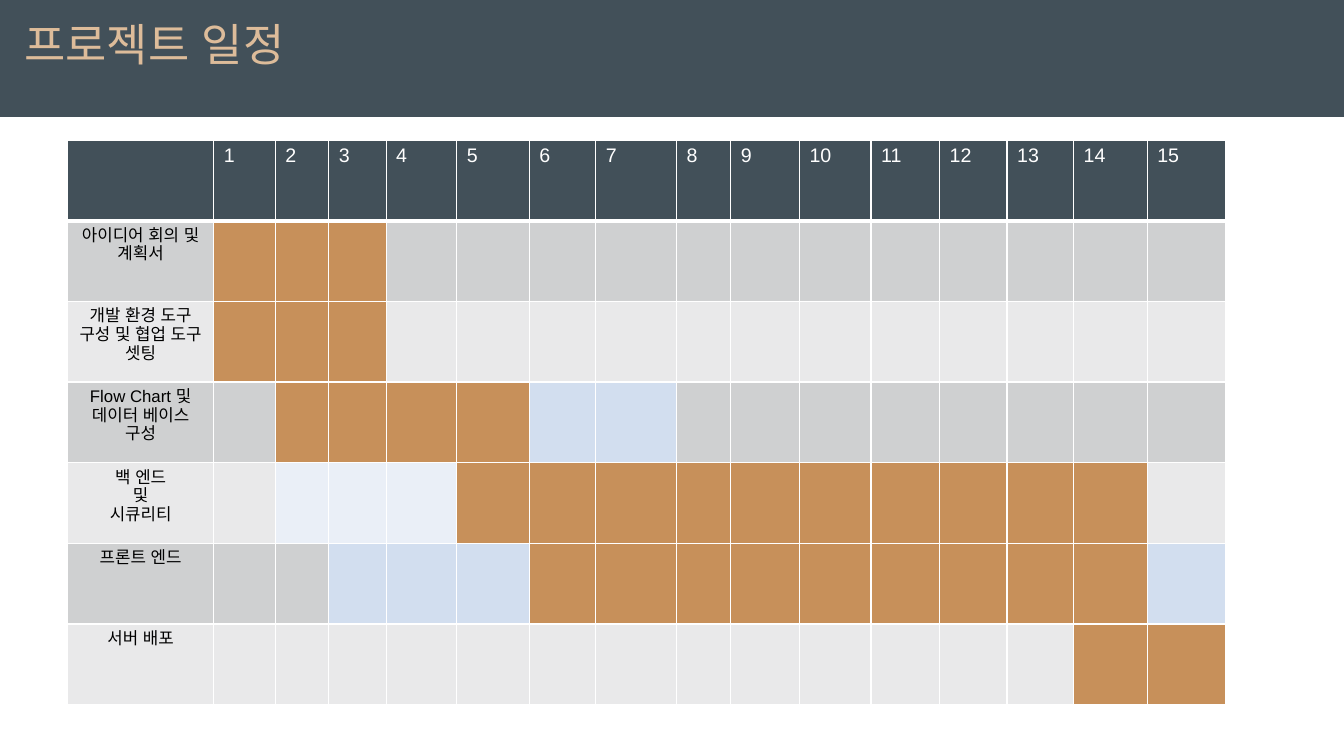
from dataclasses import dataclass

from lxml.etree import SubElement
from pptx import Presentation
from pptx.dml.color import RGBColor
from pptx.enum.shapes import MSO_SHAPE
from pptx.enum.text import MSO_ANCHOR, MSO_AUTO_SIZE, PP_ALIGN
from pptx.oxml.ns import qn
from pptx.util import Emu, Pt

EMU_PER_PX = 9144  # 100 px to the inch
WEEK_WIDTHS = [61, 53, 57, 70, 72, 66, 80, 54, 68, 71, 68, 67, 66, 73, 78]
LABEL_WIDTH = 145
ROW_HEIGHT = 80


@dataclass(frozen=True)
class Theme:
    font: str = "Arial"
    slate: str = "425059"
    sand: str = "DDBC9A"
    work: str = "C7905A"
    white: str = "FFFFFF"
    black: str = "000000"
    bands: tuple = ("CFD0D1", "E9E9EA")
    tints: tuple = ("D2DEEF", "EAEFF7")
    title_size: int = 32
    week_size: int = 14
    task_size: int = 12
    rule: int = 1
    header_rule: int = 3


@dataclass(frozen=True)
class Task:
    label: str
    first: int
    last: int
    tinted: tuple = ()


TASKS = [
    Task("아이디어 회의 및 계획서", 1, 3),
    Task("개발 환경 도구 구성 및 협업 도구 셋팅", 1, 3),
    Task("Flow Chart 및\n데이터 베이스 구성", 2, 5, (6, 7)),
    Task("백 엔드\n및\n시큐리티", 5, 14, (2, 3, 4)),
    Task("프론트 엔드", 6, 14, (3, 4, 5, 15)),
    Task("서버 배포", 14, 15),
]


def px(length):
    return Emu(length * EMU_PER_PX)


def assign(target, values):
    for name, value in values.items():
        setattr(target, name, value)


class ScheduleSlide:
    def __init__(self, deck, theme):
        self.theme = theme
        self.page = deck.slides.add_slide(deck.slide_layouts[5])

    def set_text(self, frame, text, size, color, align=PP_ALIGN.LEFT):
        """Fill a text frame, one paragraph for each line of text."""
        frame.text = text
        for para in frame.paragraphs:
            para.alignment = align
            for span in para.runs:
                assign(span.font, {"size": Pt(size), "bold": False, "name": self.theme.font})
                span.font.color.rgb = RGBColor.from_string(color)
                properties = span.font._element
                SubElement(properties, qn("a:ea"), typeface=self.theme.font)

    def banner(self, width, height):
        box = self.page.shapes.add_shape(MSO_SHAPE.RECTANGLE, 0, 0, px(width), px(height))
        box.shadow.inherit = False
        box.fill.solid()
        box.fill.fore_color.rgb = RGBColor.from_string(self.theme.slate)
        box.line.fill.background()

    def title(self, text, left, top, width, height):
        """Format the title placeholder and bring it in front of the banner."""
        box = self.page.shapes.title
        assign(box, {"left": px(left), "top": px(top), "width": px(width), "height": px(height)})
        assign(box.text_frame, {
            "word_wrap": True, "auto_size": MSO_AUTO_SIZE.SHAPE_TO_FIT_TEXT,
            "vertical_anchor": MSO_ANCHOR.TOP,
            "margin_left": px(10), "margin_right": px(10),
            "margin_top": px(5), "margin_bottom": px(5),
        })
        self.set_text(box.text_frame, text, self.theme.title_size, self.theme.sand)
        self.page.shapes._spTree.append(box._element)

    def paint(self, cell, color, bottom_rule):
        """Give a cell its white borders and its fill."""
        properties = cell._tc.get_or_add_tcPr()
        rule = self.theme.rule
        for side, points in {"L": rule, "R": rule, "T": rule, "B": bottom_rule}.items():
            line = SubElement(properties, qn(f"a:ln{side}"), w=str(Pt(points)))
            fill = SubElement(line, qn("a:solidFill"))
            SubElement(fill, qn("a:srgbClr"), val=self.theme.white)
        cell.fill.solid()
        cell.fill.fore_color.rgb = RGBColor.from_string(color)

    def schedule(self, left, top, tasks):
        theme = self.theme
        widths = [LABEL_WIDTH, *WEEK_WIDTHS]
        rows = len(tasks) + 1
        table = self.page.shapes.add_table(
            rows, len(widths), px(left), px(top), px(sum(widths)), px(ROW_HEIGHT * rows)).table
        for column, width in zip(table.columns, widths):
            column.width = px(width)
        for row in table.rows:
            row.height = px(ROW_HEIGHT)

        for week in range(len(widths)):
            cell = table.cell(0, week)
            self.paint(cell, theme.slate, theme.header_rule)
            if week:
                self.set_text(cell.text_frame, str(week), theme.week_size, theme.white)

        for index, task in enumerate(tasks):
            for week in range(len(widths)):
                if task.first <= week <= task.last:
                    color = theme.work
                elif week in task.tinted:
                    color = theme.tints[index % 2]
                else:
                    color = theme.bands[index % 2]
                self.paint(table.cell(index + 1, week), color, theme.rule)
            self.set_text(table.cell(index + 1, 0).text_frame, task.label,
                          theme.task_size, theme.black, PP_ALIGN.CENTER)


def main():
    deck = Presentation()
    assign(deck, {"slide_width": px(1333), "slide_height": px(750)})
    slide = ScheduleSlide(deck, Theme())
    slide.schedule(67, 139, TASKS)
    slide.banner(1333, 116)
    slide.title("프로젝트 일정", 14, 12, 552, 64)
    deck.save("out.pptx")


if __name__ == "__main__":
    main()
